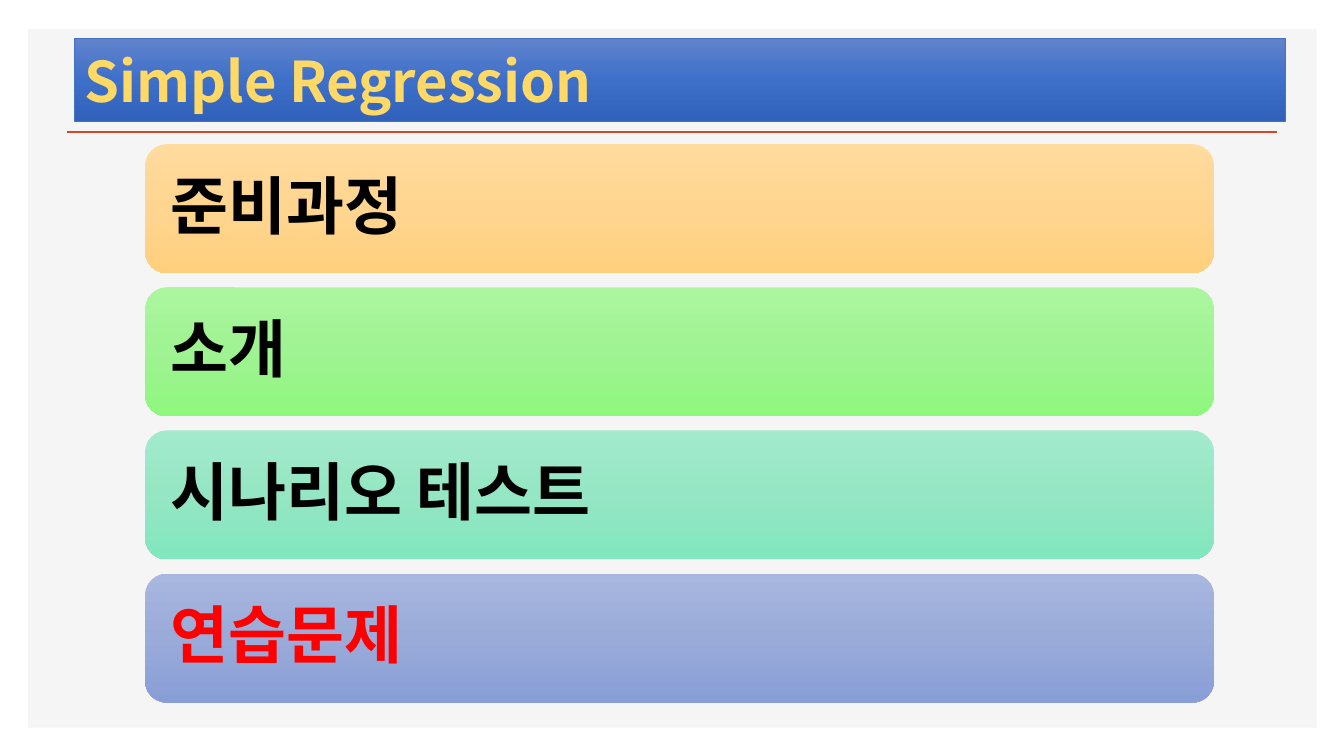
from copy import deepcopy

from pptx import Presentation
from pptx.dml.color import RGBColor
from pptx.enum.shapes import MSO_CONNECTOR, MSO_SHAPE
from pptx.enum.text import MSO_ANCHOR, PP_ALIGN
from pptx.oxml.ns import qn
from pptx.util import Inches, Pt
from lxml.etree import SubElement

FONT = "Noto Sans CJK KR"


def color(hex_string):
    return RGBColor.from_string(hex_string)


def add_banner(slide, kind, box, stops, text, size, text_color, inset):
    """Add a shape with a three-stop vertical gradient and bold left-aligned text."""
    shape = slide.shapes.add_shape(kind, *[Inches(length) for length in box])
    shape.shadow.inherit = False
    shape.line.fill.background()

    shape.fill.gradient()
    shape.fill.gradient_angle = 270
    first_stop = shape.fill.gradient_stops[0]._gs
    first_stop.addnext(deepcopy(first_stop))
    for stop, position, stop_color in zip(shape.fill.gradient_stops, (0, 0.5, 1), stops):
        stop.position = position
        stop.color.rgb = color(stop_color)

    frame = shape.text_frame
    frame.text = text
    frame.word_wrap = True
    frame.vertical_anchor = MSO_ANCHOR.MIDDLE
    frame.margin_left = frame.margin_right = Inches(inset)
    paragraph = frame.paragraphs[0]
    paragraph.alignment = PP_ALIGN.LEFT
    font = paragraph.runs[0].font
    font.name, font.size, font.bold = FONT, Pt(size), True
    font.color.rgb = color(text_color)
    SubElement(font._element, qn("a:ea"), typeface=FONT)
    return shape


presentation = Presentation()
presentation.slide_width = Inches(13.33)
presentation.slide_height = Inches(7.5)
slide = presentation.slides.add_slide(presentation.slide_layouts[6])

panel = slide.shapes.add_shape(
    MSO_SHAPE.RECTANGLE, Inches(0.28), Inches(0.29), Inches(12.78), Inches(6.93))
panel.shadow.inherit = False
panel.fill.solid()
panel.fill.fore_color.rgb = color("F5F5F5")
panel.line.fill.background()

rule = slide.shapes.add_connector(
    MSO_CONNECTOR.STRAIGHT, Inches(0.66), Inches(1.31), Inches(12.67), Inches(1.31))
rule.line.color.rgb = color("D24726")
rule.line.width = Pt(2)
SubElement(rule._element.spPr, qn("a:effectLst"))

title = add_banner(
    slide, MSO_SHAPE.RECTANGLE, (0.74, 0.38, 12.01, 0.82),
    ("6183CB", "3E70CA", "3062BB"), "Simple Regression", 40, "FFD966", 0.1)
title.line.color.rgb = color("4472C4")
title.line.width = Pt(0.5)

agenda = [
    ("준비과정", "000000", ("FFDB9E", "FFD590", "FFD07C")),
    ("소개", "000000", ("ACF6A0", "9FF392", "8EF77D")),
    ("시나리오 테스트", "000000", ("A3EACC", "95E6C4", "81E7BD")),
    ("연습문제", "FF0000", ("A8B7DF", "9AABD9", "889ED7")),
]
agenda_top, row_pitch, row_height = 1.43, 1.42, 1.28
for row, (text, text_color, stops) in enumerate(agenda):
    box = (1.44, agenda_top + row * row_pitch, 10.6, row_height)
    item = add_banner(
        slide, MSO_SHAPE.ROUNDED_RECTANGLE, box, stops, text, 45, text_color, 0.19)
    item.text_frame.paragraphs[0].line_spacing = 0.9

presentation.save("out.pptx")
